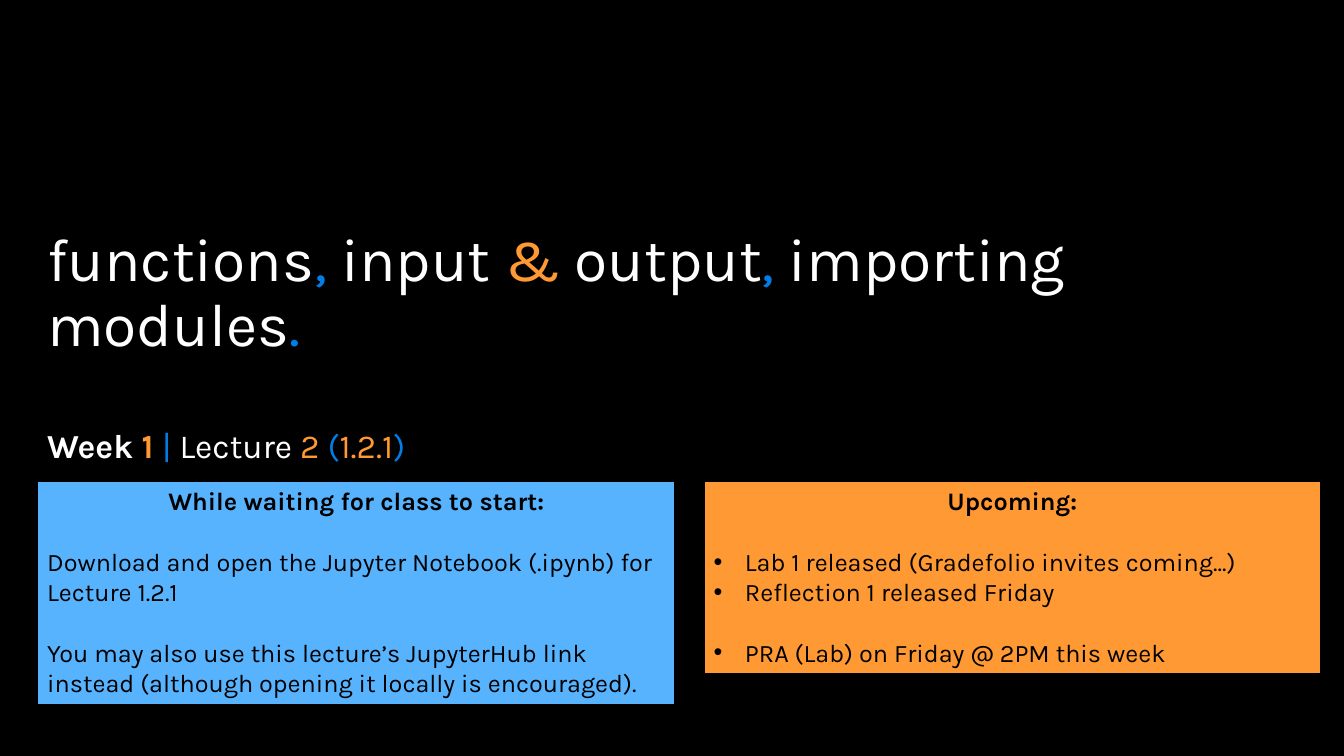
from dataclasses import dataclass

from lxml import etree
from pptx import Presentation
from pptx.dml.color import RGBColor
from pptx.enum.shapes import MSO_SHAPE
from pptx.enum.text import MSO_ANCHOR, MSO_AUTO_SIZE, PP_ALIGN
from pptx.oxml.ns import qn
from pptx.util import Inches, Pt

RECTANGLE = MSO_SHAPE.RECTANGLE
TOP, BOTTOM = MSO_ANCHOR.TOP, MSO_ANCHOR.BOTTOM
GROW = MSO_AUTO_SIZE.SHAPE_TO_FIT_TEXT
LEFT, CENTER = PP_ALIGN.LEFT, PP_ALIGN.CENTER


@dataclass(frozen=True)
class Theme:
    """Colours, type sizes and spacing of the deck."""
    font: str = "Karla"
    black: str = "000000"
    white: str = "FFFFFF"
    blue: str = "017EE5"
    sky: str = "58B3FE"
    orange: str = "FF9933"
    title: float = 43.2
    subtitle: float = 24
    body: float = 18
    gap: float = 21.6
    border: float = 1.5


THEME = Theme()


def style_span(span, size, color, bold=False):
    """Format one run of text."""
    span.font.name = THEME.font
    span.font.size = Pt(size)
    span.font.bold = bold
    span.font.color.rgb = RGBColor.from_string(color)


def add_headline(page, top, height, anchor, size, pieces):
    """Add a line of text from (text, colour, bold) pieces."""
    box = page.shapes.add_textbox(Inches(0.37), Inches(top), Inches(12.46), Inches(height))
    frame = box.text_frame
    frame.word_wrap = True
    frame.vertical_anchor = anchor
    para = frame.paragraphs[0]
    para.line_spacing = 0.9
    for text, color, bold in pieces:
        span = para.add_run()
        span.text = text
        style_span(span, size, color, bold)


def add_bullet(para):
    """Give a paragraph a hanging round bullet."""
    properties = para._p.get_or_add_pPr()
    indent = Inches(0.31)
    properties.set("marL", str(indent))
    properties.set("indent", str(-indent))
    font = etree.SubElement(properties, qn("a:buFont"))
    font.set("typeface", "Arial")
    bullet = etree.SubElement(properties, qn("a:buChar"))
    bullet.set("char", "•")


def add_card(page, left, width, height, fill, heading, lines, bulleted=False):
    """Add a filled card with a heading and (text, gap before) lines."""
    card = page.shapes.add_shape(RECTANGLE, Inches(left), Inches(4.77), Inches(width), Inches(height))
    card.shadow.inherit = False
    card.fill.solid()
    card.fill.fore_color.rgb = RGBColor.from_string(fill)
    card.line.color.rgb = RGBColor.from_string(THEME.black)
    card.line.width = Pt(THEME.border)
    frame = card.text_frame
    frame.word_wrap = True
    frame.auto_size = GROW
    frame.vertical_anchor = TOP
    title = frame.paragraphs[0]
    title.text = heading
    title.alignment = CENTER
    style_span(title.runs[0], THEME.body, THEME.black, bold=True)
    for text, gap in lines:
        para = frame.add_paragraph()
        para.text = text
        para.alignment = LEFT
        para.space_before = Pt(gap)
        if bulleted:
            add_bullet(para)
        style_span(para.runs[0], THEME.body, THEME.black)


def main():
    """Build the lecture opening slide."""
    deck = Presentation()
    deck.slide_width, deck.slide_height = Inches(13.33), Inches(7.5)
    page = deck.slides.add_slide(deck.slide_layouts[6])
    page.background.fill.solid()
    page.background.fill.fore_color.rgb = RGBColor.from_string(THEME.black)

    add_headline(page, 2.64, 0.98, BOTTOM, THEME.title, [
        ("functions", THEME.white, False),
        (",", THEME.blue, False),
        (" input ", THEME.white, False),
        ("&", THEME.orange, False),
        (" output", THEME.white, False),
        (",", THEME.blue, False),
        (" importing modules", THEME.white, False),
        (".", THEME.blue, False),
    ])
    add_headline(page, 4.21, 1.81, TOP, THEME.subtitle, [
        ("Week ", THEME.white, True),
        ("1 ", THEME.orange, True),
        ("|", THEME.blue, False),
        (" Lecture ", THEME.white, False),
        ("2 ", THEME.orange, False),
        ("(", THEME.blue, False),
        ("1.2.1", THEME.orange, False),
        (")", THEME.blue, False),
    ])
    add_card(page, 6.98, 6.12, 1.92, THEME.orange, "Upcoming:", [
        ("Lab 1 released (Gradefolio invites coming...)", THEME.gap),
        ("Reflection 1 released Friday", 0),
        ("PRA (Lab) on Friday @ 2PM this week", THEME.gap),
    ], bulleted=True)
    add_card(page, 0.37, 6.33, 2.22, THEME.sky, "While waiting for class to start:", [
        ("Download and open the Jupyter Notebook (.ipynb) for Lecture 1.2.1", THEME.gap),
        ("You may also use this lecture’s JupyterHub link instead "
         "(although opening it locally is encouraged).", THEME.gap),
    ])
    deck.save("out.pptx")


if __name__ == "__main__":
    main()
